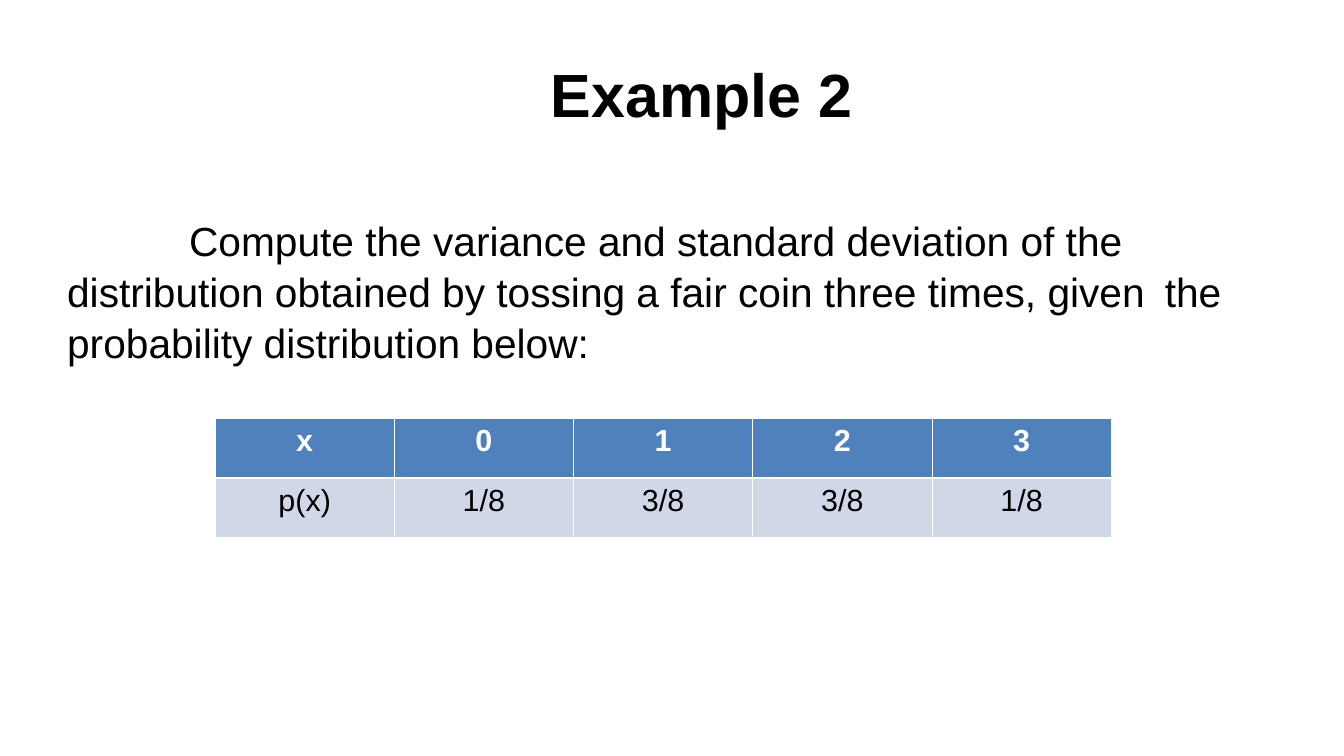
from dataclasses import dataclass

from lxml import etree
from pptx import Presentation
from pptx.dml.color import RGBColor
from pptx.enum.text import MSO_ANCHOR, MSO_AUTO_SIZE, PP_ALIGN
from pptx.oxml.ns import qn
from pptx.util import Inches, Pt

CENTER, LEFT = PP_ALIGN.CENTER, PP_ALIGN.LEFT
TOP, MIDDLE = MSO_ANCHOR.TOP, MSO_ANCHOR.MIDDLE
FIXED = MSO_AUTO_SIZE.NONE


@dataclass(frozen=True)
class Theme:
    font: str = "Arial"
    ink: str = "000000"
    white: str = "FFFFFF"
    head: str = "4F81BD"
    band: str = "D0D8E8"
    title: int = 36
    body: int = 24
    cell: int = 18
    thin: float = 0.45
    thick: float = 1.47


class Deck:
    def __init__(self, theme, width, height):
        self.theme = theme
        self.show = Presentation()
        self.show.slide_width = Inches(width)
        self.show.slide_height = Inches(height)
        self.slide = self.show.slides.add_slide(self.show.slide_layouts[5])

    def area(self, left, top, width, height):
        """Turn percentages of the slide into lengths."""
        wide, high = self.show.slide_width, self.show.slide_height
        return (int(wide * left / 100), int(high * top / 100),
                int(wide * width / 100), int(high * height / 100))

    def frame(self, shape, anchor):
        """Set up a text frame and return its first paragraph."""
        frame = shape.text_frame
        frame.word_wrap = True
        frame.auto_size = FIXED
        frame.vertical_anchor = anchor
        frame.margin_left = frame.margin_right = 0
        frame.margin_top = frame.margin_bottom = 0
        return frame.paragraphs[0]

    def add_text(self, para, text, size, color, bold=False, align=LEFT):
        para.alignment = align
        run = para.add_run()
        run.text = text
        font = run.font
        font.name, font.size, font.bold = self.theme.font, Pt(size), bold
        font.color.rgb = RGBColor.from_string(color)

    def title(self, text, *box):
        shape = self.slide.shapes.title
        shape.left, shape.top, shape.width, shape.height = self.area(*box)
        para = self.frame(shape, MIDDLE)
        self.add_text(para, text, self.theme.title, self.theme.ink, True,
                      CENTER)

    def body(self, text, indent, stop, *box):
        """Add a paragraph with a first-line indent and one tab stop."""
        shape = self.slide.shapes.add_textbox(*self.area(*box))
        para = self.frame(shape, TOP)
        para.line_spacing = 1.05
        props = para._p.get_or_add_pPr()
        props.set("marL", "0")
        props.set("indent", str(Inches(indent)))
        tabs = etree.SubElement(props, qn("a:tabLst"))
        etree.SubElement(tabs, qn("a:tab"), pos=str(Inches(stop)), algn="l")
        self.add_text(para, text, self.theme.body, self.theme.ink)

    def edge(self, cell, first):
        """Draw white borders, thicker between the header and the values."""
        theme = self.theme
        thick = "lnB" if first else "lnT"
        for spot, side in enumerate(("lnL", "lnR", "lnT", "lnB")):
            width = Pt(theme.thick if side == thick else theme.thin)
            line = etree.Element(qn("a:" + side), w=str(width))
            fill = etree.SubElement(line, qn("a:solidFill"))
            etree.SubElement(fill, qn("a:srgbClr"), val=theme.white)
            cell._tc.get_or_add_tcPr().insert(spot, line)

    def table(self, rows, *box):
        theme = self.theme
        grid = self.slide.shapes.add_table(
            len(rows), len(rows[0]), *self.area(*box)).table
        for r, row in enumerate(rows):
            first = r == 0
            color = theme.white if first else theme.ink
            for c, text in enumerate(row):
                cell = grid.cell(r, c)
                cell.margin_left = cell.margin_right = Inches(0.11)
                cell.margin_top = cell.margin_bottom = Inches(0.05)
                cell.fill.solid()
                cell.fill.fore_color.rgb = RGBColor.from_string(
                    theme.head if first else theme.band)
                self.edge(cell, first)
                self.add_text(cell.text_frame.paragraphs[0], text,
                              theme.cell, color, first, CENTER)


def main():
    deck = Deck(Theme(), 11.02, 6.2)
    deck.title("Example 2 ", 10.7, 4, 84.3, 16.6)
    deck.body("Compute the variance and standard deviation of the distribution "
              "obtained by tossing a fair coin three times, given \tthe "
              "probability distribution below:", 1, 9, 5, 28.2, 90, 64)
    deck.table([["x", "0", "1", "2", "3"],
                ["p(x)", "1/8", "3/8", "3/8", "1/8"]], 16, 55.3, 66.7, 15.8)
    deck.show.save("out.pptx")


if __name__ == "__main__":
    main()
